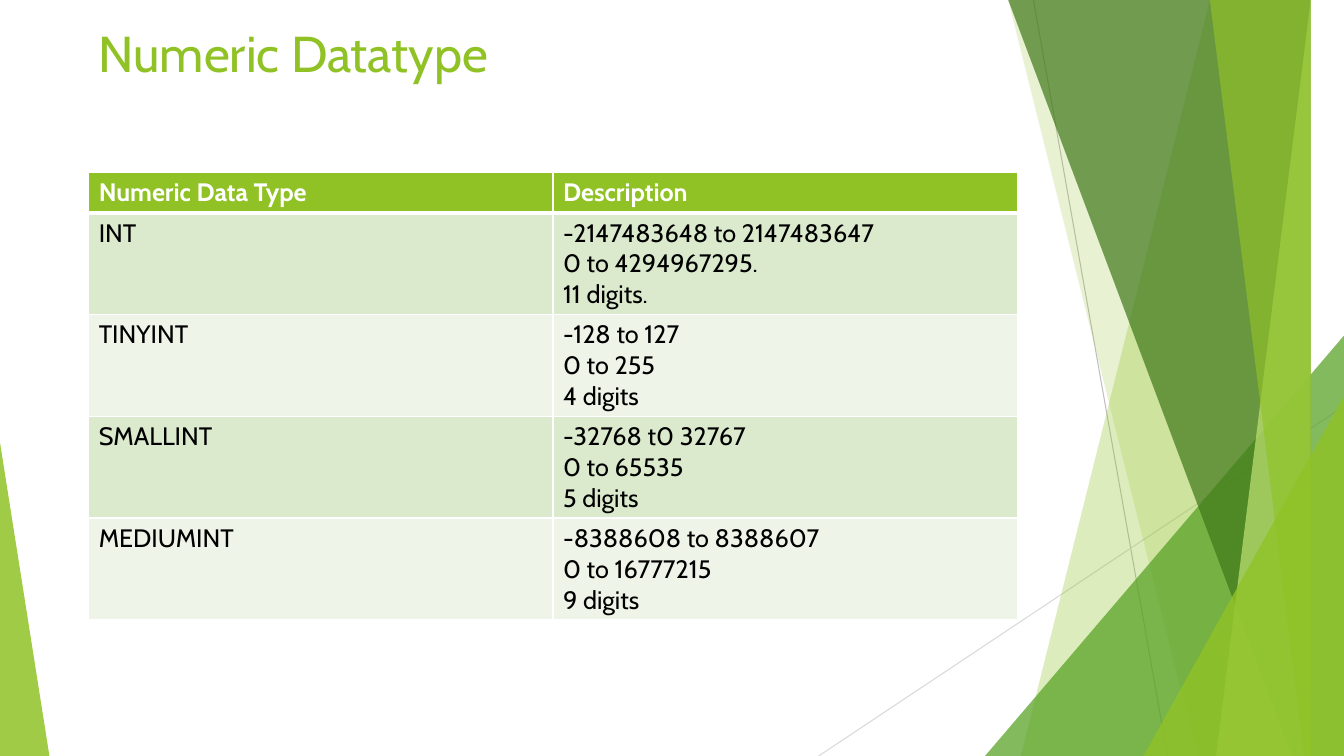
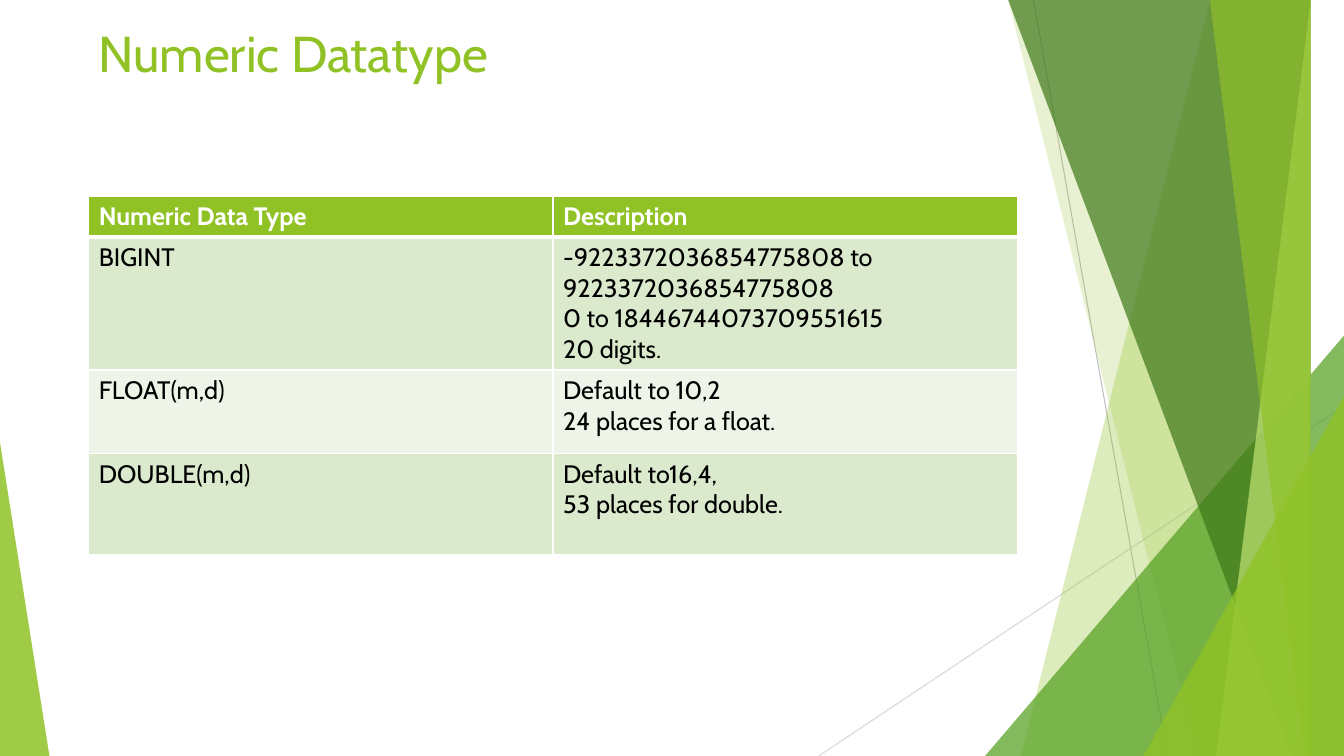
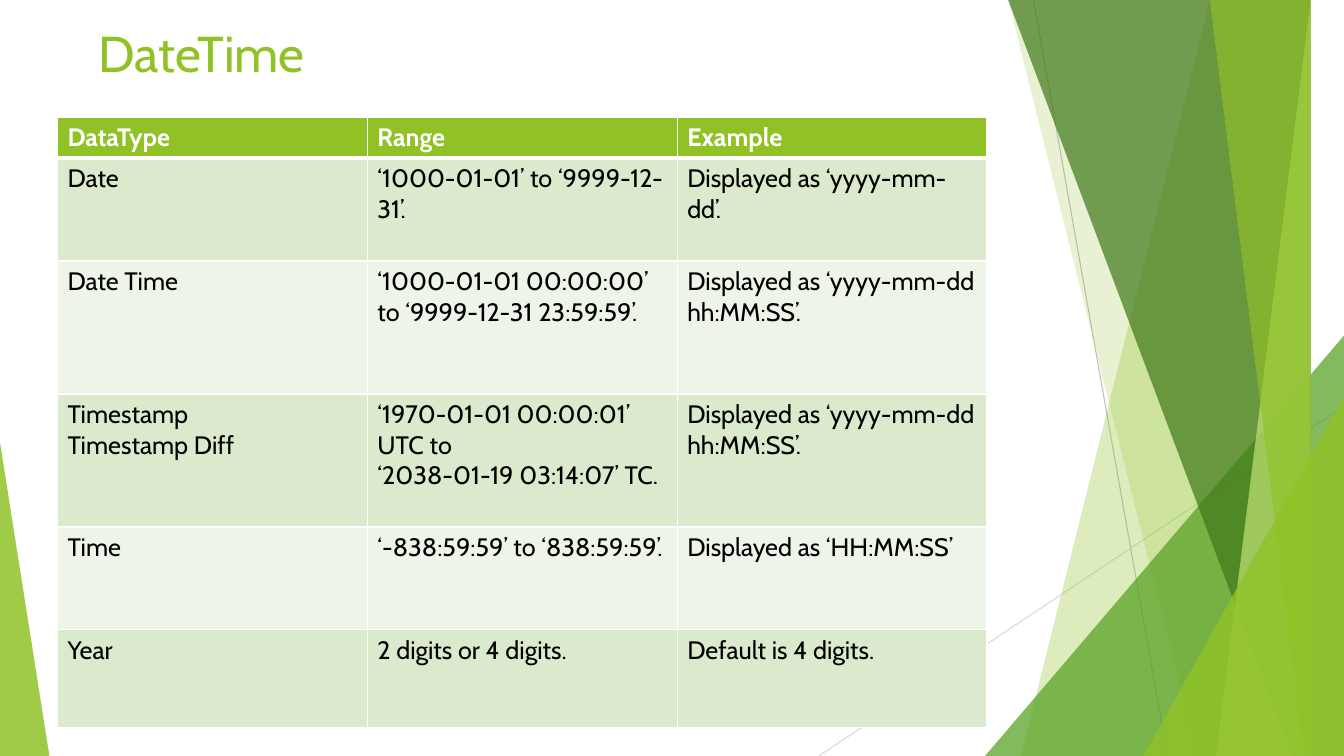
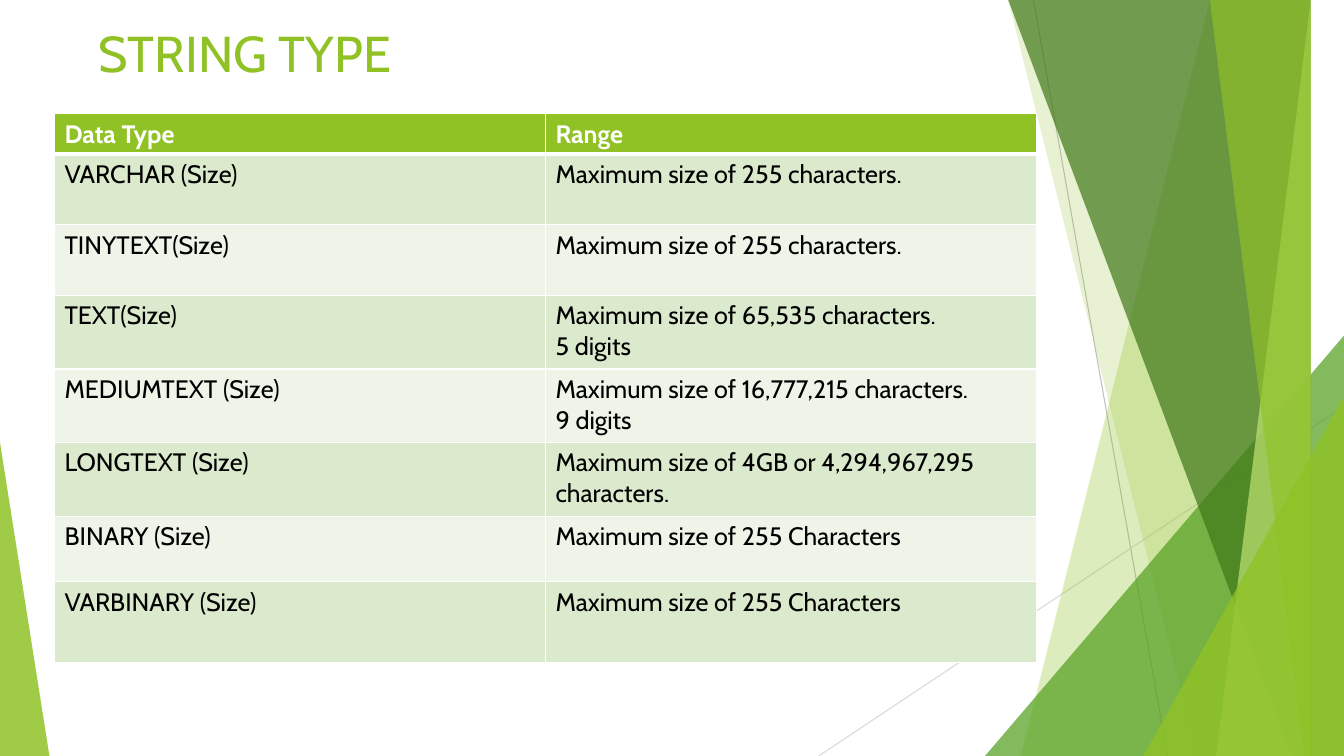
from lxml import etree
from pptx import Presentation, util as u
from pptx.dml.color import RGBColor
from pptx.enum import shapes, text
from pptx.oxml.ns import qn

COLORS = {
    "accent": "90C226", "leaf": "54A021", "forest": "3F7819", "lime": "C0E474",
    "odd row": "DBE9CD", "even row": "EEF4E8", "white": "FFFFFF", "ink": "000000",
    "steep line": "BFBFBF", "flat line": "D9D9D9",
}
FONT = "Cabin"
UNIT = u.Inches(1)  # one column or row of the slide grid
WIDE, HIGH = 13.33, 7.5
BLEED = -0.01  # bands start slightly above the slide

RULES = [  # colour, from x, y, to x, y
    ("steep line", 10.25, 0, 11.58, HIGH),
    ("flat line", WIDE, 4.03, 8.12, HIGH),
]
# Back to front. A band has its left edge's top and bottom x and runs to the
# right side; a wedge stands on the bottom: left, width, height, apex.
FACETS = [
    ("band", (12.28, 10.04), "accent", 30),
    ("band", (10.5, 11.83), "accent", 20),
    ("wedge", (9.77, 3.56, 4.17, 1), "leaf", 72),
    ("band", (10.21, 12.91), "forest", 70),
    ("band", (13.03, 11.92), "lime", 70),
    ("band", (11.96, 13.18), "accent", 65),
    ("wedge", (11.34, 1.99, 3.57, 1), "accent", 80),
    ("wedge", (0, 0.49, 3.11, 0), "accent", 85),
]

# title, table left, top, width, row heights, rows (a line break starts a paragraph)
TOPICS = [
    ("Numeric Datatype", 0.88, 1.71, 9.21, [0.4] + [1.01] * 4, [
        ("Numeric Data Type", "Description"),
        ("INT", "-2147483648 to 2147483647\n0 to 4294967295.\n11 digits."),
        ("TINYINT", "-128 to 127\n0 to 255\n4 digits"),
        ("SMALLINT", "-32768 t0 32767\n0 to 65535\n5 digits"),
        ("MEDIUMINT", "-8388608 to 8388607\n0 to 16777215\n9 digits"),
    ]),
    ("Numeric Datatype", 0.88, 1.95, 9.21, [0.4, 1.32, 0.83, 1], [
        ("Numeric Data Type", "Description"),
        ("BIGINT", "-9223372036854775808 to 9223372036854775808\n"
                   "0 to 18446744073709551615\n20 digits."),
        ("FLOAT(m,d)", "Default to 10,2\n24 places for a float."),
        ("DOUBLE(m,d)", "Default to16,4,\n53 places for double."),
    ]),
    ("DateTime", 0.57, 1.16, 9.22, [0.41, 1.02, 1.32, 1.32, 1.02, 0.97], [
        ("DataType", "Range", "Example"),
        ("Date", "‘1000-01-01’ to ‘9999-12-31’.", "Displayed as ‘yyyy-mm-dd’."),
        ("Date Time", "‘1000-01-01 00:00:00’ to ‘9999-12-31 23:59:59’.",
         "Displayed as ‘yyyy-mm-dd hh:MM:SS’."),
        ("Timestamp\nTimestamp Diff",
         "‘1970-01-01 00:00:01’ UTC to\n‘2038-01-19 03:14:07’ TC.",
         "Displayed as ‘yyyy-mm-dd hh:MM:SS’."),
        ("Time", "‘-838:59:59’ to ‘838:59:59’.", "Displayed as ‘HH:MM:SS’"),
        ("Year", "2 digits or 4 digits.", "Default is 4 digits."),
    ]),
    ("STRING TYPE", 0.54, 1.13, 9.74, [0.4, 0.7, 0.7, 0.73, 0.73, 0.73, 0.65, 0.8], [
        ("Data Type", "Range"),
        ("VARCHAR (Size)", "Maximum size of 255 characters."),
        ("TINYTEXT(Size)", "Maximum size of 255 characters."),
        ("TEXT(Size)", "Maximum size of 65,535 characters.\n5 digits"),
        ("MEDIUMTEXT (Size)", "Maximum size of 16,777,215 characters.\n9 digits"),
        ("LONGTEXT (Size)", "Maximum size of 4GB or 4,294,967,295 characters."),
        ("BINARY (Size)", "Maximum size of 255 Characters"),
        ("VARBINARY (Size)", "Maximum size of 255 Characters"),
    ]),
]


def write(frame, words, size, color, bold=False):
    """Fill a text frame with one paragraph per line of words."""
    for index, line in enumerate(words.split("\n")):
        paragraph = frame.add_paragraph() if index else frame.paragraphs[0]
        run = paragraph.add_run()
        run.text = line
        run.font.name, run.font.size, run.font.bold = FONT, u.Pt(size), bold
        run.font.color.rgb = RGBColor.from_string(COLORS[color])


def set_border(cell, position, side, points):
    """Draw one white cell border; position is its place before the fill."""
    line = etree.Element(qn(f"a:ln{side}"), w=str(u.Pt(points)))
    fill = etree.SubElement(line, qn("a:solidFill"))
    etree.SubElement(fill, qn("a:srgbClr"), val=COLORS["white"])
    cell._tc.get_or_add_tcPr().insert(position, line)


deck = Presentation()
deck.slide_width, deck.slide_height = u.Inches(WIDE), u.Inches(HIGH)

for title, left, top, width, heights, rows in TOPICS:
    slide = deck.slides.add_slide(deck.slide_layouts[6])

    for color, *ends in RULES:
        rule = slide.shapes.add_connector(
            shapes.MSO_CONNECTOR.STRAIGHT, *(int(end * UNIT) for end in ends))
        rule.line.color.rgb = RGBColor.from_string(COLORS[color])
        rule.line.width = u.Pt(0.75)
        etree.SubElement(rule.element.spPr, qn("a:effectLst"))

    for kind, outline, color, opacity in FACETS:
        if kind == "band":
            top_x, bottom_x = outline
            pen = slide.shapes.build_freeform(top_x, BLEED, scale=UNIT)
            pen.add_line_segments([(WIDE, BLEED), (WIDE, HIGH), (bottom_x, HIGH)])
            facet = pen.convert_to_shape()
        else:
            wedge_left, base, height, apex = outline
            facet = slide.shapes.add_shape(
                shapes.MSO_SHAPE.ISOSCELES_TRIANGLE, int(wedge_left * UNIT),
                int((HIGH - height) * UNIT), int(base * UNIT), int(height * UNIT))
            facet.adjustments[0] = apex
        facet.shadow.inherit = False
        facet.line.fill.background()
        facet.fill.solid()
        facet.fill.fore_color.rgb = RGBColor.from_string(COLORS[color])
        tint = facet.element.spPr.find(f"{qn('a:solidFill')}/{qn('a:srgbClr')}")
        etree.SubElement(tint, qn("a:alpha"), val=str(opacity * 1000))

    heading = slide.shapes.add_textbox(
        int(0.88 * UNIT), int(0.17 * UNIT), int(9.4 * UNIT), int(0.72 * UNIT)).text_frame
    heading.word_wrap = True
    heading.vertical_anchor = text.MSO_ANCHOR.TOP
    write(heading, title, 36, "accent")

    types = slide.shapes.add_table(
        len(rows), len(rows[0]), int(left * UNIT), int(top * UNIT),
        int(width * UNIT), int(sum(heights) * UNIT)).table
    for r, (height, entries) in enumerate(zip(heights, rows)):
        types.rows[r].height = int(height * UNIT)
        header = r == 0
        row_color = "accent" if header else "odd row" if r % 2 else "even row"
        borders = {"L": 1, "R": 1, "T": 3 if r == 1 else 1, "B": 3 if header else 1}
        for c, entry in enumerate(entries):
            cell = types.cell(r, c)
            cell.fill.solid()
            cell.fill.fore_color.rgb = RGBColor.from_string(COLORS[row_color])
            for position, (side, points) in enumerate(borders.items()):
                set_border(cell, position, side, points)
            write(cell.text_frame, entry, 18, "white" if header else "ink", header)

deck.save("out.pptx")
